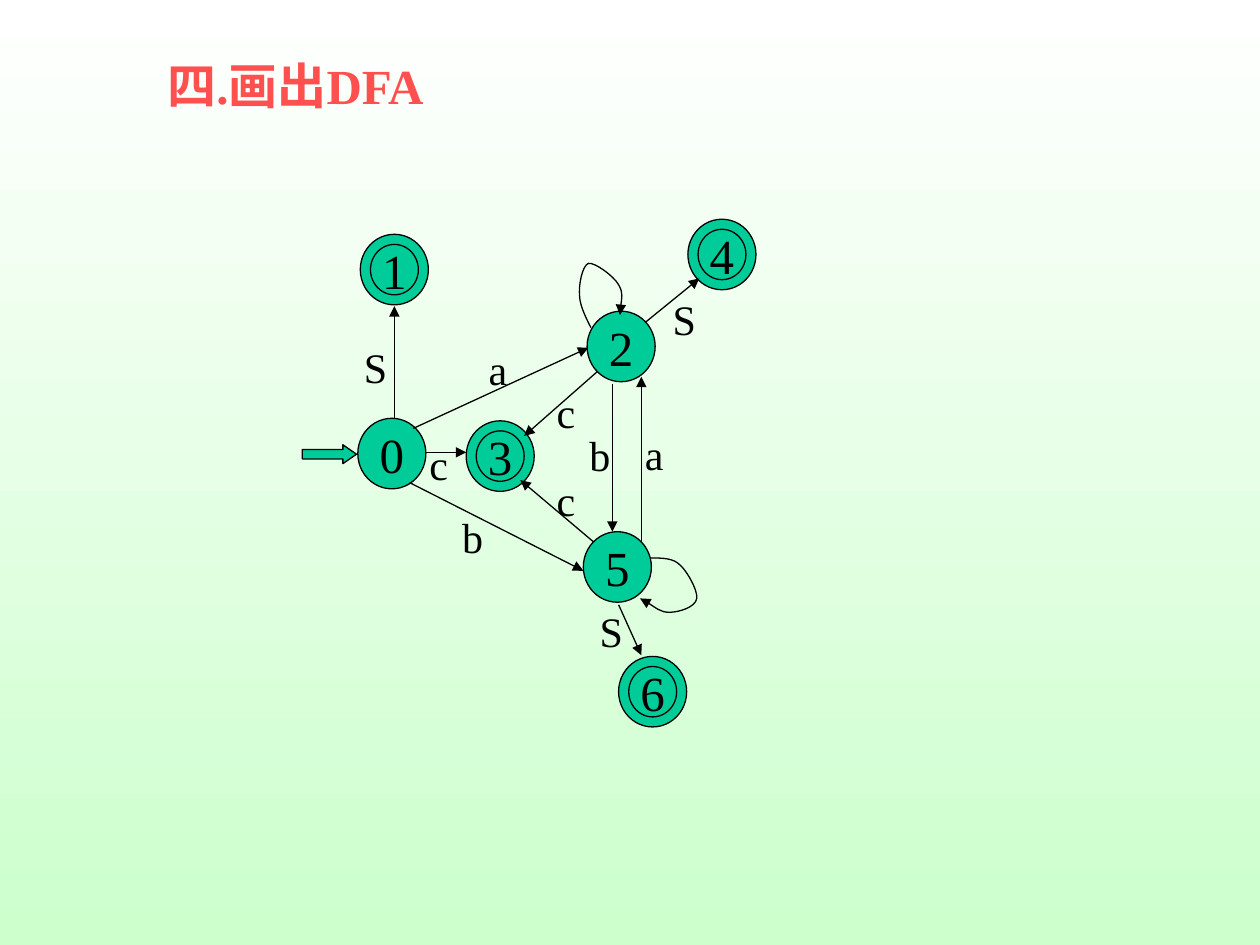
from lxml.etree import SubElement
from pptx import Presentation
from pptx.dml.color import RGBColor
from pptx.enum.shapes import MSO_CONNECTOR as Connector, MSO_SHAPE as Shape
from pptx.enum.text import MSO_ANCHOR as Anchor, MSO_AUTO_SIZE as AutoSize, PP_ALIGN as Align
from pptx.oxml.ns import qn
from pptx.util import Inches, Pt

FONT = "Times New Roman"
GREEN, BLACK, RED = "00CC99", "000000", "FF5050"
STATE_W, STATE_H = 0.54, 0.56
RING_W, RING_H = 0.38, 0.4

# Offsets in inches from the corner of the diagram
STATES = {  # name: (left, top, accepting)
    "0": (0.44, 1.58, False),
    "2": (2.26, 0.73, False),
    "5": (2.23, 2.48, False),
    "3": (1.3, 1.6, True),
    "6": (2.51, 3.47, True),
    "4": (3.06, 0, True),
    "1": (0.46, 0.12, True),
}
TRANSITIONS = [  # symbol, start, end, corner of the symbol's box
    ("c", (0.97, 1.85), (1.3, 1.85), (0.91, 1.69)),
    ("S", (0.73, 1.58), (0.73, 0.69), (0.39, 0.92)),
    ("a", (0.88, 1.66), (2.27, 1.02), (1.38, 0.94)),
    ("b", (0.85, 2.09), (2.23, 2.79), (1.17, 2.27)),
    ("S", (2.51, 3.06), (2.69, 3.46), (2.26, 3.02)),
    ("S", (2.72, 0.82), (3.15, 0.47), (2.84, 0.54)),
    ("b", (2.46, 1.31), (2.46, 2.48), (2.18, 1.62)),
    ("a", (2.69, 2.55), (2.69, 1.25), (2.62, 1.61)),
    ("c", (2.31, 2.56), (1.73, 2.07), (1.92, 1.98)),
    ("c", (2.34, 1.21), (1.76, 1.72), (1.92, 1.28)),
]
SELF_LOOPS = [  # start, then two control points and an end for each curve
    [(2.29, 0.86), (2.27, 0.82), (2.2, 0.69), (2.2, 0.61),
     (2.19, 0.53), (2.22, 0.37), (2.27, 0.35),
     (2.32, 0.34), (2.47, 0.45), (2.51, 0.52),
     (2.55, 0.59), (2.52, 0.71), (2.52, 0.76)],
    [(2.76, 2.69), (2.79, 2.69), (2.92, 2.68), (2.98, 2.73),
     (3.05, 2.78), (3.14, 2.95), (3.13, 3.01),
     (3.12, 3.08), (2.99, 3.12), (2.91, 3.12),
     (2.84, 3.12), (2.73, 3.03), (2.68, 3.01)],
]


def color(hex_string):
    return RGBColor.from_string(hex_string)


def set_text(frame, text, size, hex_string=BLACK, bold=False, align=Align.LEFT):
    frame.text = text
    paragraph = frame.paragraphs[0]
    paragraph.alignment = align
    font = paragraph.font
    font.name, font.size, font.bold = FONT, Pt(size), bold
    font.color.rgb = color(hex_string)


def outline(shape):
    shape.line.color.rgb = color(BLACK)
    shape.line.width = Pt(0.75)


def add_arrowhead(shape):
    line = next(shape._element.iter(qn("a:ln")))
    SubElement(line, qn("a:tailEnd"), type="triangle")


def add_filled(shapes, kind, left, top, width, height):
    shape = shapes.add_shape(kind, left, top, width, height)
    shape.shadow.inherit = False
    shape.fill.solid()
    shape.fill.fore_color.rgb = color(GREEN)
    outline(shape)
    return shape


def add_state(shapes, name, left, top, accepting):
    """Draw a state, with an inner ring if it is accepting."""
    circle = add_filled(shapes, Shape.OVAL, left, top, Inches(STATE_W), Inches(STATE_H))
    if accepting:
        circle = add_filled(
            shapes, Shape.OVAL,
            left + Inches((STATE_W - RING_W) / 2), top + Inches((STATE_H - RING_H) / 2),
            Inches(RING_W), Inches(RING_H))
    frame = circle.text_frame
    frame.word_wrap = False
    frame.vertical_anchor = Anchor.MIDDLE
    set_text(frame, name, 28, align=Align.CENTER)


def add_transition(shapes, start, end):
    arrow = shapes.add_connector(Connector.STRAIGHT, *start, *end)
    outline(arrow)
    add_arrowhead(arrow)
    SubElement(arrow._element.spPr, qn("a:effectLst"))


def add_symbol(shapes, symbol, corner):
    width = 0.49 if symbol == "S" else 0.35
    label = shapes.add_textbox(*corner, Inches(width), Inches(0.5))
    label.text_frame.word_wrap = True
    set_text(label.text_frame, symbol, 24)


def add_self_loop(shapes, points):
    """Draw a freeform through every third point, bent by the two between."""
    anchors = points[::3]
    builder = shapes.build_freeform(*anchors[0])
    builder.add_line_segments(anchors[1:], close=False)
    loop = builder.convert_to_shape()
    loop.shadow.inherit = False
    loop.fill.background()
    outline(loop)
    add_arrowhead(loop)
    left, top = (min(values) for values in zip(*anchors))
    for index, segment in enumerate(list(loop._element.iter(qn("a:lnTo")))):
        curve = segment.makeelement(qn("a:cubicBezTo"))
        for x, y in points[3 * index + 1:3 * index + 4]:
            SubElement(curve, qn("a:pt"), x=str(x - left), y=str(y - top))
        segment.getparent().replace(segment, curve)


def add_automaton(slide, left, top):
    def place(point):
        return left + Inches(point[0]), top + Inches(point[1])

    shapes = slide.shapes.add_group_shape().shapes
    for name, (x, y, accepting) in STATES.items():
        add_state(shapes, name, *place((x, y)), accepting)
    add_filled(shapes, Shape.RIGHT_ARROW, *place((0, 1.79)),
               Inches(0.43), Inches(0.15)).adjustments[1] = 0.72
    for symbol, start, end, corner in TRANSITIONS:
        add_transition(shapes, place(start), place(end))
        add_symbol(shapes, symbol, place(corner))
    for points in SELF_LOOPS:
        add_self_loop(shapes, [place(point) for point in points])


def add_title(slide, left, top, width, height):
    title = slide.shapes.title
    title.left, title.top, title.width, title.height = left, top, width, height
    frame = title.text_frame
    frame.word_wrap = True
    frame.auto_size = AutoSize.SHAPE_TO_FIT_TEXT
    frame.vertical_anchor = Anchor.TOP
    set_text(frame, "四.画出DFA", 28, RED, bold=True)


def set_background(slide):
    fill = slide.background.fill
    fill.gradient()
    fill.gradient_angle = 270
    for stop, hex_string in zip(fill.gradient_stops, ("FFFFFF", "CCFFCC")):
        stop.color.rgb = color(hex_string)


def main():
    deck = Presentation()
    deck.slide_width, deck.slide_height = Inches(10), Inches(7.5)
    slide = deck.slides.add_slide(deck.slide_layouts[5])
    set_background(slide)
    add_title(slide, Inches(1.23), Inches(0.39), Inches(3.99), Inches(0.57))
    add_automaton(slide, Inches(2.4), Inches(1.74))
    deck.save("out.pptx")


if __name__ == "__main__":
    main()
